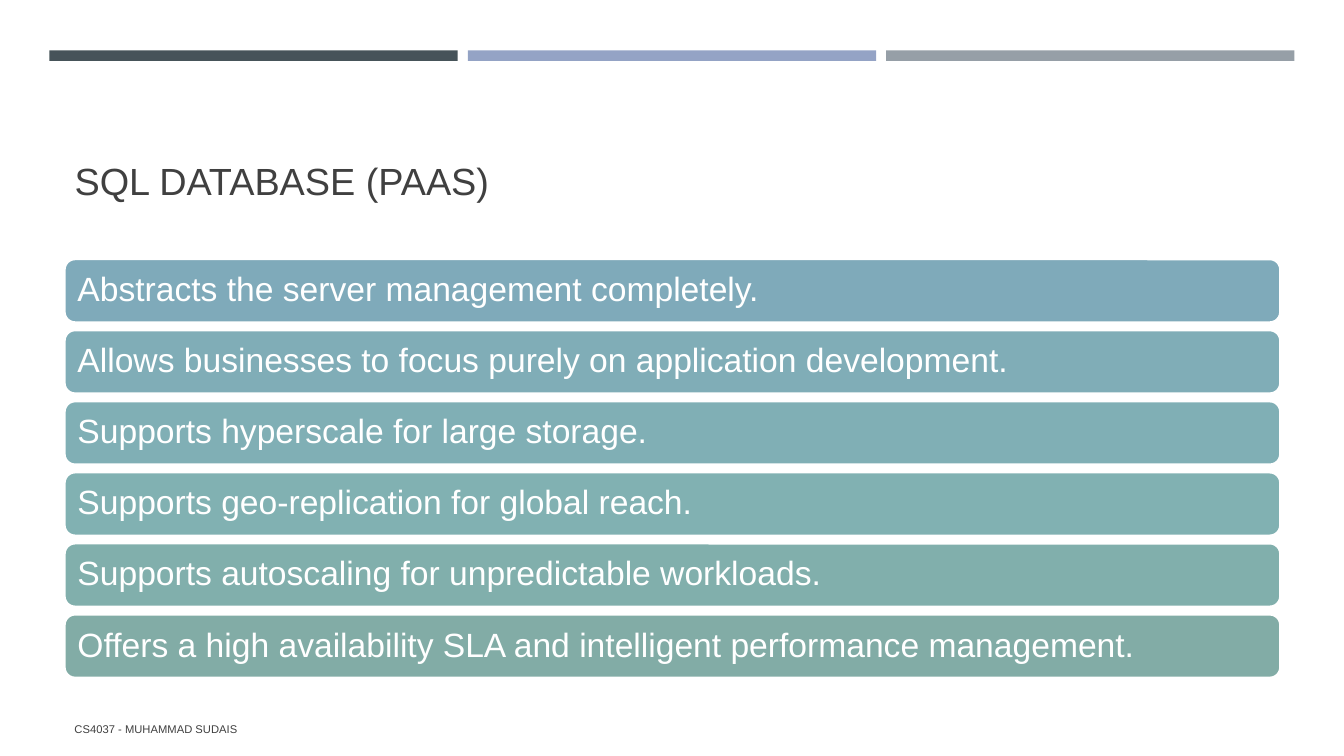
from dataclasses import dataclass

from pptx import Presentation
from pptx.dml.color import RGBColor as Rgb
from pptx.enum.shapes import MSO_SHAPE as Kind
from pptx.enum.text import MSO_ANCHOR as Anchor, MSO_AUTO_SIZE as Fit, PP_ALIGN as Align
from pptx.util import Inches, Pt


@dataclass(frozen=True)
class Theme:
    """Colours, font and type sizes of the deck."""
    font: str = "Arial"
    ink: str = "404040"
    white: str = "FFFFFF"
    bars: tuple = ("465359", "94A3C5", "969FA7")
    cards: tuple = ("7FAABA", "80ADB7", "80AFB5", "81B1B2", "81AFAC", "82ACA6")
    head: int = 27
    body: int = 24
    foot: int = 8


class Page:
    """Draws styled elements on one slide, placed in percent of its size."""

    def __init__(self, deck, theme):
        """Add a slide with a title to the deck."""
        self.deck, self.theme = deck, theme
        self.slide = deck.slides.add_slide(deck.slide_layouts[5])

    def box(self, left, top, width, height):
        """Turn percentages into slide lengths."""
        wide, high = self.deck.slide_width, self.deck.slide_height
        return [int(share * full / 100) for share, full in
                ((left, wide), (top, high), (width, wide), (height, high))]

    def label(self, shape, text, size, color, anchor, line=1.0, after=0):
        """Set and format the text of a shape."""
        frame = shape.text_frame
        frame.text = text
        frame.word_wrap = True
        frame.auto_size = Fit.NONE
        frame.vertical_anchor = anchor
        para = frame.paragraphs[0]
        para.alignment = Align.LEFT
        para.line_spacing = line
        para.space_before = Pt(0)
        para.space_after = Pt(after)
        font = para.runs[0].font
        font.name, font.size = self.theme.font, Pt(size)
        font.color.rgb = Rgb.from_string(color)
        return frame

    def shape(self, kind, area, fill):
        """Add a flat filled shape without an outline."""
        item = self.slide.shapes.add_shape(kind, *self.box(*area))
        item.shadow.inherit = False
        item.fill.solid()
        item.fill.fore_color.rgb = Rgb.from_string(fill)
        item.line.fill.background()
        return item

    def title(self, text, area):
        """Place and fill the title placeholder."""
        item = self.slide.shapes.title
        item.left, item.top, item.width, item.height = self.box(*area)
        self.label(item, text, self.theme.head, self.theme.ink, Anchor.BOTTOM, 0.9)

    def bar(self, area, fill):
        """Add one bar of the top band."""
        self.shape(Kind.RECTANGLE, area, fill)

    def card(self, text, area, fill):
        """Add a rounded card holding one statement."""
        item = self.shape(Kind.ROUNDED_RECTANGLE, area, fill)
        item.line.color.rgb = Rgb.from_string(self.theme.white)
        item.line.width = Pt(1.75)
        frame = self.label(item, text, self.theme.body, self.theme.white, Anchor.MIDDLE, 0.9)
        frame.margin_left = frame.margin_right = Inches(0.1)

    def foot(self, text, area):
        """Add the footer line."""
        item = self.slide.shapes.add_textbox(*self.box(*area))
        self.label(item, text, self.theme.foot, self.theme.ink, Anchor.MIDDLE, after=6)


POINTS = (
    "Abstracts the server management completely.",
    "Allows businesses to focus purely on application development.",
    "Supports hyperscale for large storage.",
    "Supports geo-replication for global reach.",
    "Supports autoscaling for unpredictable workloads.",
    "Offers a high availability SLA and intelligent performance management.",
)


def main():
    """Build the slide and save it."""
    deck = Presentation()
    deck.slide_width, deck.slide_height = Inches(13.33), Inches(7.5)
    theme = Theme()
    page = Page(deck, theme)
    left, width = 4.8, 90.47
    for col, fill in enumerate(theme.bars):
        page.bar((3.68 + 31.13 * col, 6.67, 30.38, 1.4), fill)
    page.title("SQL DATABASE (PAAS)", (left, 10.27, width, 17.33))
    page.foot("CS4037 - MUHAMMAD SUDAIS", (left, 93.73, 56.71, 5.33))
    for row, (text, fill) in enumerate(zip(POINTS, theme.cards)):
        page.card(text, (left, 34.27 + 9.4 * row, width, 8.4), fill)
    deck.save("out.pptx")


if __name__ == "__main__":
    main()
